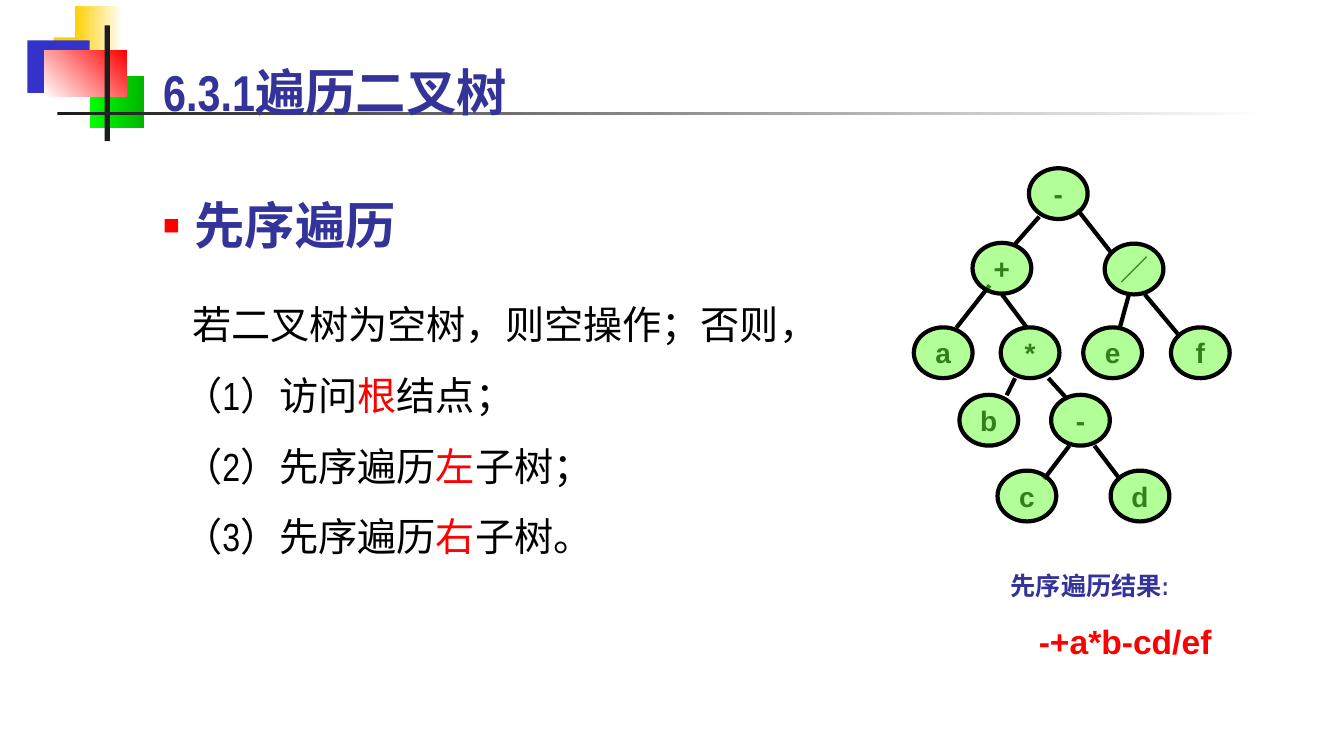
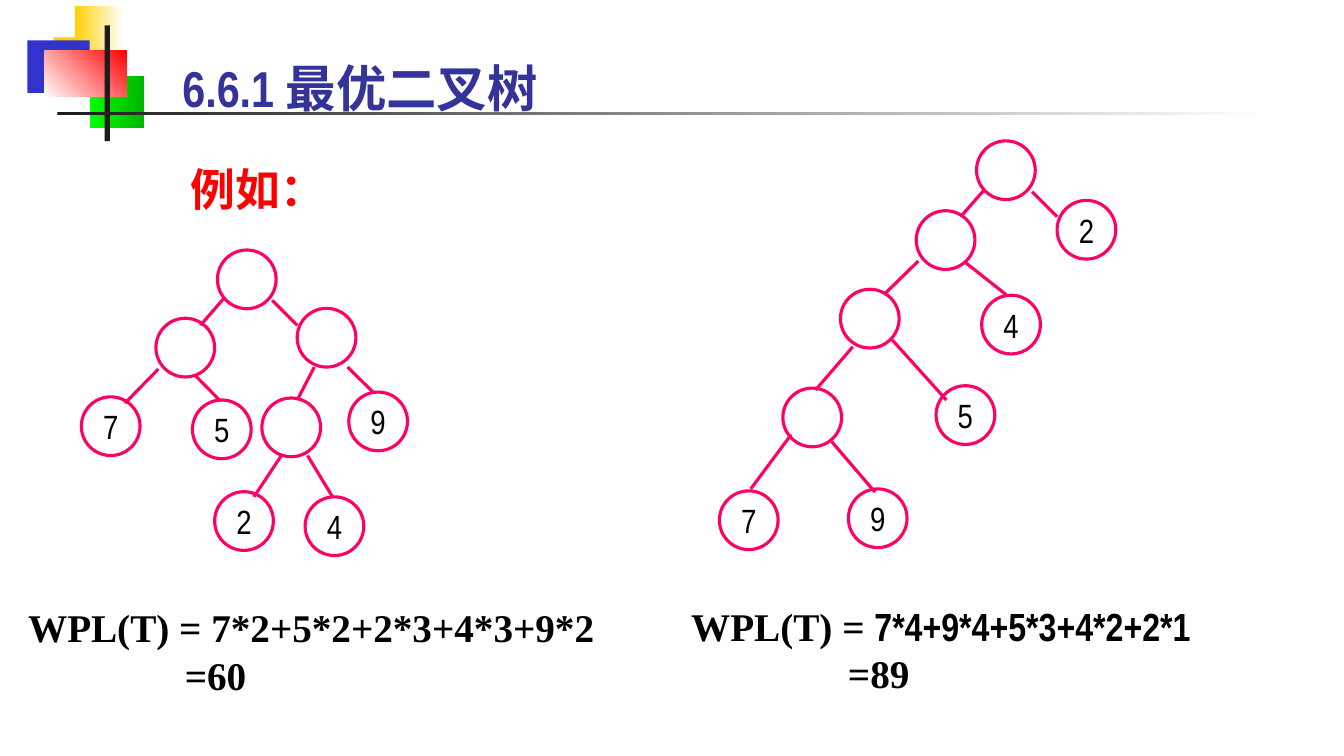
from lxml import etree
from pptx import Presentation
from pptx.dml.color import RGBColor
from pptx.enum.shapes import MSO_CONNECTOR, MSO_SHAPE
from pptx.enum.text import MSO_ANCHOR, MSO_AUTO_SIZE, PP_ALIGN
from pptx.oxml.ns import qn
from pptx.util import Cm, Pt

RECT, OVAL = MSO_SHAPE.RECTANGLE, MSO_SHAPE.OVAL
STRAIGHT = MSO_CONNECTOR.STRAIGHT
MIDDLE, BOTTOM, TOP = MSO_ANCHOR.MIDDLE, MSO_ANCHOR.BOTTOM, MSO_ANCHOR.TOP
LEFT, CENTER = PP_ALIGN.LEFT, PP_ALIGN.CENTER
NO_FIT = MSO_AUTO_SIZE.NONE

NARROW, SANS, SERIF, CJK = "Arial Narrow", "Arial", "Times New Roman", "Noto Sans CJK SC"
COLORS = {
    "black": "000000", "white": "FFFFFF", "ink": "1C1C1C", "title": "333399",
    "red": "FF0000", "gold": "FFCF01", "blue": "3333CC", "lime": "00FF00",
    "green": "00B600", "node": "66FF33", "node text": "33801A", "pink": "FF0066",
}
# Band on the master: left, top, width, height, colours, gradient angle
BAND = [
    (1.35, 0.94, 1.63, 1.32, ["gold"], 0),
    (1.88, 0.15, 1.22, 1.32, ["gold", "white"], 0),
    (0.69, 1.02, 1.57, 1.32, ["blue"], 0),
    (2.26, 1.91, 1.37, 1.32, ["lime", "green"], 0),
    (1.12, 1.27, 2.08, 1.17, ["white", "red"], 45),
    (2.64, 0.64, 0.13, 2.92, ["ink"], 0),
    (1.45, 2.82, 30.48, 0.08, ["ink", "white"], 0),
]
# Nodes: centre x, centre y, label. Edges: x1, y1, x2, y2.
EXPRESSION_NODES = [
    (26.67, 4.88, "-"), (25.25, 6.76, "+"), (28.58, 6.78, "／"),
    (23.77, 8.89, "a"), (25.96, 8.89, "*"), (28.04, 8.89, "e"), (30.25, 8.89, "f"),
    (24.92, 10.59, "b"), (27.23, 10.59, "-"), (25.88, 12.5, "c"), (28.73, 12.5, "d"),
]
EXPRESSION_EDGES = [
    (26.19, 5.46, 25.58, 6.15), (27.15, 5.28, 27.99, 6.35),
    (24.94, 7.19, 24.1, 8.26), (25.25, 7.42, 25.88, 8.26),
    (28.45, 7.42, 28.22, 8.26), (28.85, 7.42, 29.72, 8.46),
    (25.58, 9.53, 25.37, 9.96), (26.42, 9.53, 26.9, 10.06),
    (26.95, 11.23, 26.31, 12.07), (27.58, 11.23, 28.22, 12.07),
]
OPTIMAL_NODES = [
    (6.22, 7.04, ""), (4.67, 8.76, ""), (8.23, 8.51, ""),
    (2.79, 10.74, "7"), (5.59, 10.82, "5"), (7.34, 10.77, ""), (9.53, 10.62, "9"),
    (6.15, 13.13, "2"), (8.43, 13.26, "4"),
]
OPTIMAL_EDGES = [
    (5.64, 7.52, 5.05, 8.2), (6.86, 7.57, 7.49, 8.2),
    (3.99, 9.3, 3.15, 10.16), (4.93, 9.47, 5.56, 10.11),
    (7.92, 9.25, 7.49, 10.08), (8.76, 9.25, 9.4, 9.88),
    (7.09, 11.48, 6.4, 12.52), (7.75, 11.48, 8.38, 12.52),
]
SKEWED_NODES = [
    (25.35, 4.29, ""), (27.38, 5.79, "2"), (23.83, 6.05, ""),
    (25.48, 8.18, "4"), (21.92, 8.03, ""), (24.33, 10.46, "5"),
    (20.47, 10.52, ""), (18.87, 13.11, "7"), (22.12, 13.06, "9"),
]
SKEWED_EDGES = [
    (24.79, 4.8, 24.21, 5.46), (26.01, 4.83, 26.64, 5.46),
    (23.14, 6.58, 22.28, 7.42), (24.31, 6.6, 25.35, 7.42),
    (21.49, 8.74, 20.55, 9.83), (22.48, 8.56, 23.85, 10.08),
    (19.94, 10.95, 18.92, 12.32), (20.96, 11.13, 22.05, 12.4),
]


def rgb(name):
    return RGBColor.from_string(COLORS[name])


class Deck:
    def __init__(self):
        self.prs = Presentation()
        self.prs.slide_width, self.prs.slide_height = Cm(33.87), Cm(19.05)
        self.s = None

    def slide(self, layout):
        self.s = self.prs.slides.add_slide(self.prs.slide_layouts[layout])

    def shape(self, kind, x, y, w, h):
        sp = self.s.shapes.add_shape(kind, Cm(x), Cm(y), Cm(w), Cm(h))
        sp.shadow.inherit = False
        return sp

    def band(self):
        """Draw the band once and move it to the master."""
        for x, y, w, h, colors, angle in BAND:
            sp = self.shape(RECT, x, y, w, h)
            sp.line.fill.background()
            if len(colors) == 1:
                sp.fill.solid()
                sp.fill.fore_color.rgb = rgb(colors[0])
            else:
                sp.fill.gradient()
                sp.fill.gradient_angle = angle
                for stop, color in zip(sp.fill.gradient_stops, colors):
                    stop.color.rgb = rgb(color)
            self.prs.slide_master.shapes.element.append(sp.element)

    def run(self, p, text, size, color="black", font=NARROW, bold=False):
        r = p.add_run()
        r.text = text
        r.font.size, r.font.bold, r.font.name = Pt(size), bold, font
        r.font.color.rgb = rgb(color)
        etree.SubElement(r._r.get_or_add_rPr(), qn("a:ea"), typeface=font)

    def indent(self, p, margin, first=0):
        pPr = p._p.get_or_add_pPr()
        pPr.set("marL", str(Cm(margin)))
        pPr.set("indent", str(Cm(first)))
        return pPr

    def place(self, sp, x, y, w, h, anchor):
        sp.left, sp.top, sp.width, sp.height = Cm(x), Cm(y), Cm(w), Cm(h)
        tf = sp.text_frame
        tf.word_wrap, tf.auto_size, tf.vertical_anchor = True, NO_FIT, anchor
        p = tf.paragraphs[0]
        p.alignment, p.space_before = LEFT, Pt(0)
        return p

    def title(self, text, x, y, w, h):
        p = self.place(self.s.shapes.title, x, y, w, h, BOTTOM)
        self.run(p, text, 36, "title", bold=True)

    def body(self, text, x, y, w, h):
        p = self.place(self.s.placeholders[1], x, y, w, h, TOP)
        p.line_spacing = 1.5
        pPr = self.indent(p, 2.06, -0.79)
        color = etree.SubElement(pPr, qn("a:buClr"))
        etree.SubElement(color, qn("a:srgbClr"), val=COLORS["red"])
        etree.SubElement(pPr, qn("a:buSzPct"), val="55000")
        etree.SubElement(pPr, qn("a:buChar"), char="■")
        self.run(p, text, 36, "title", bold=True)

    def text(self, paragraphs, x, y, w, h, spacing=None):
        """Each paragraph is (left indent, runs); a run holds run() arguments."""
        sp = self.s.shapes.add_textbox(Cm(x), Cm(y), Cm(w), Cm(h))
        tf = sp.text_frame
        tf.word_wrap = True
        for i, (margin, runs) in enumerate(paragraphs):
            p = tf.add_paragraph() if i else tf.paragraphs[0]
            p.line_spacing = spacing
            self.indent(p, margin)
            for args in runs:
                self.run(p, *args)

    def edge(self, x1, y1, x2, y2, color, width):
        line = self.s.shapes.add_connector(STRAIGHT, Cm(x1), Cm(y1), Cm(x2), Cm(y2))
        line.line.color.rgb, line.line.width = rgb(color), Pt(width)
        etree.SubElement(line.element.spPr, qn("a:effectLst"))

    def node(self, x, y, label, h, color, width, fill, style):
        w = 1.48
        sp = self.shape(OVAL, x - w / 2, y - h / 2, w, h)
        sp.line.color.rgb, sp.line.width = rgb(color), Pt(width)
        if fill:
            sp.fill.solid()
            sp.fill.fore_color.rgb = rgb(fill)
            clr = sp.element.spPr.find(qn("a:solidFill"))[0]
            etree.SubElement(clr, qn("a:alpha"), val="50000")
        else:
            sp.fill.background()
        if label:
            tf = sp.text_frame
            tf.margin_left = tf.margin_right = tf.margin_top = tf.margin_bottom = 0
            tf.word_wrap, tf.vertical_anchor = False, MIDDLE
            tf.paragraphs[0].alignment = CENTER
            self.run(tf.paragraphs[0], label, *style)

    def tree(self, nodes, edges, h=1.48, color="pink", width=2.25, fill=None,
             style=(24,)):
        for ends in edges:
            self.edge(*ends, color, width)
        for x, y, label in nodes:
            self.node(x, y, label, h, color, width, fill, style)


def main():
    deck = Deck()

    # Slide 1: preorder traversal
    deck.slide(1)
    deck.band()
    deck.title("6.3.1遍历二叉树", 3.86, 1.35, 21.59, 1.83)
    deck.body("先序遍历", 2.59, 4.01, 17.09, 2.97)
    steps = [("（1）访问", "根", "结点；"), ("（2）先序遍历", "左", "子树；"),
             ("（3）先序遍历", "右", "子树。")]
    rules = [(0.22, [("若二叉树为空树，则空操作；否则，", 28)])]
    rules += [(0, [(a, 28), (b, 28, "red"), (c, 28)]) for a, b, c in steps]
    deck.text(rules, 4.37, 6.86, 16.69, 7.21, spacing=1.5)
    deck.tree(EXPRESSION_NODES, EXPRESSION_EDGES, 1.28, "black", 3, "node",
              (20, "node text", SANS, True))
    deck.text([(0, [("先序遍历结果:", 18, "title", NARROW, True)])],
              25.22, 14.25, 5.89, 1.27)
    deck.text([(0, [("-+a*b-cd/ef", 24, "red", SANS, True)])],
              25.93, 15.52, 5.72, 1.27)

    # Slide 2: weighted path lengths of two trees
    deck.slide(5)
    deck.title("6.6.1 最优二叉树", 4.34, 0.74, 17.68, 2.34)
    deck.text([(0, [("例如：", 32, "red", CJK, True)])], 4.55, 3.94, 4.34, 1.63)
    deck.tree(OPTIMAL_NODES, OPTIMAL_EDGES)
    deck.tree(SKEWED_NODES, SKEWED_EDGES)
    sums = [(0.46, 15.09, "7*2+5*2+2*3+4*3+9*2", SERIF, "=60"),
            (17.17, 15.06, "7*4+9*4+5*3+4*2+2*1", NARROW, "=89")]
    for x, y, terms, font, total in sums:
        deck.text([(0, [("WPL(T) = ", 28, "black", SERIF, True),
                        (terms, 28, "black", font, True)]),
                   (3.95, [(total, 28, "black", SERIF, True)])],
                  x, y, 15.19, 2.8)

    deck.prs.save("out.pptx")


if __name__ == "__main__":
    main()
